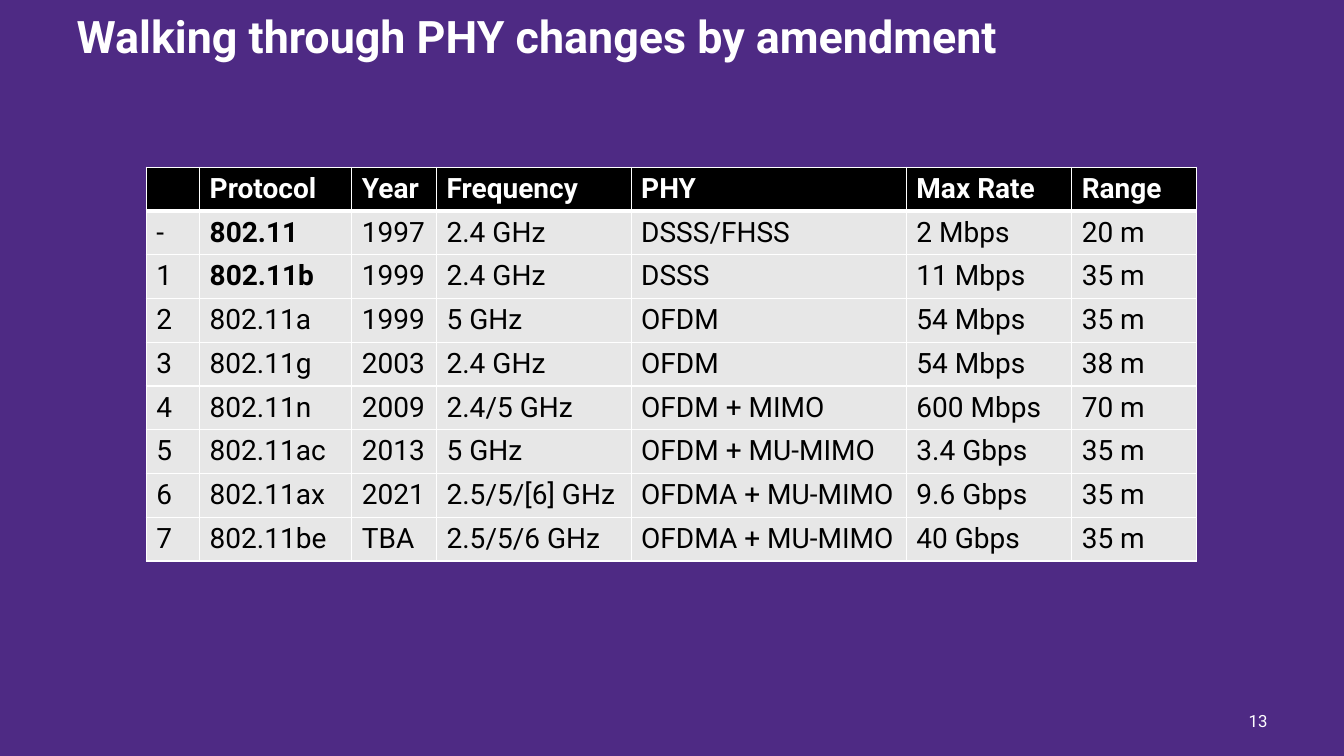
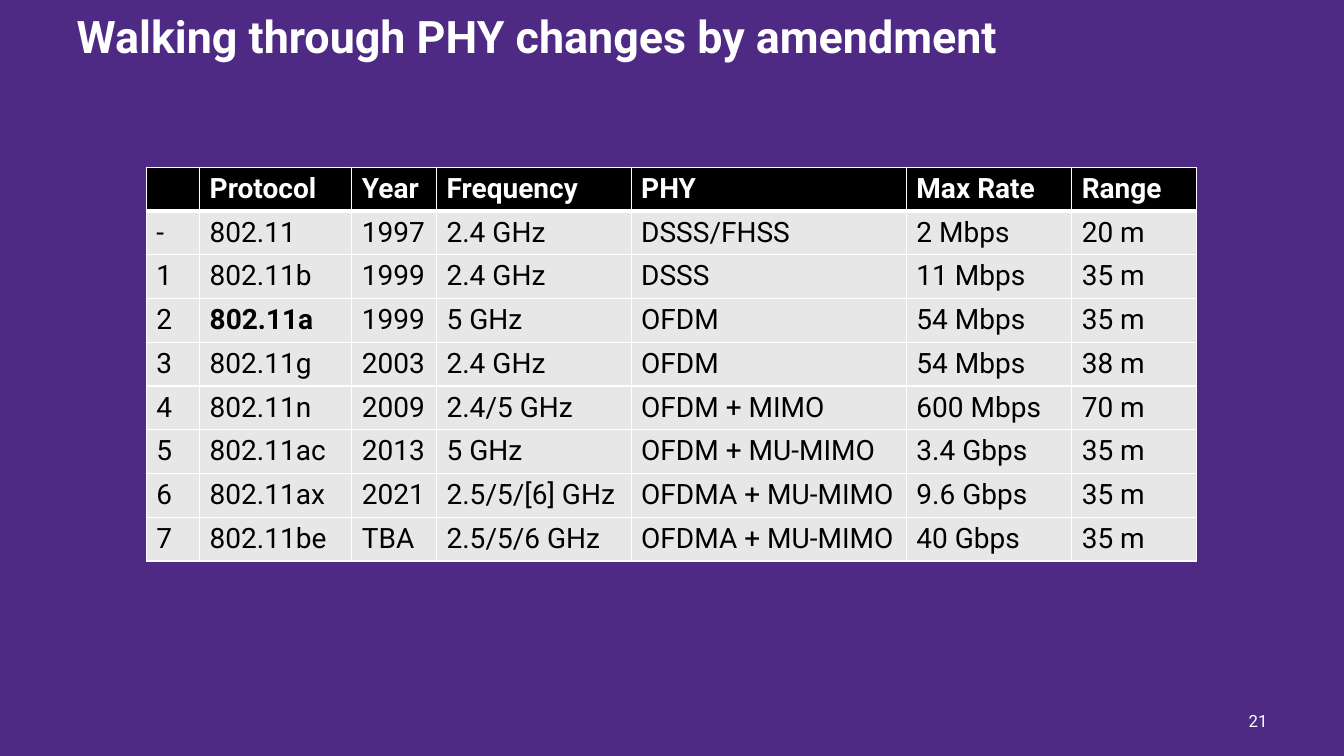
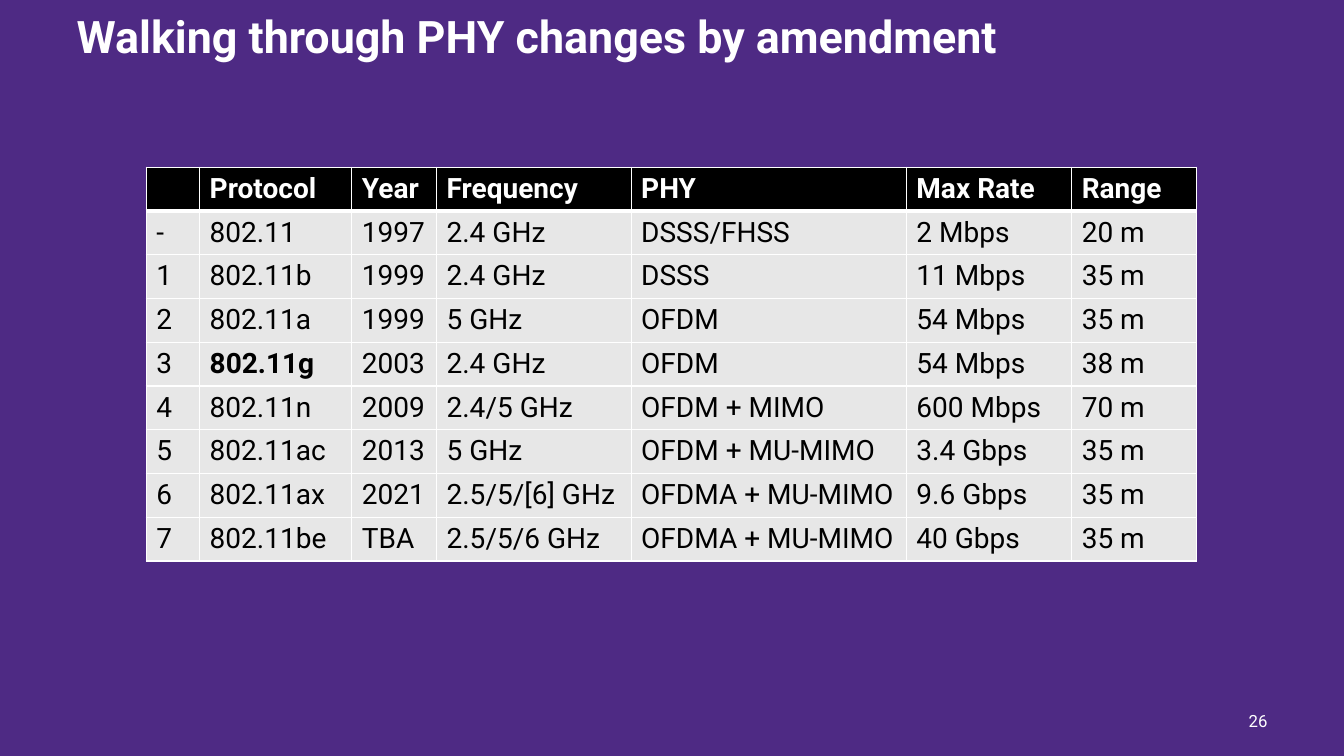
from lxml import etree
from pptx import Presentation
from pptx.dml.color import RGBColor
from pptx.enum import text
from pptx.oxml import ns
from pptx.util import Inches, Pt

FONT = "Roboto"
PURPLE, WHITE, BLACK, GREY = "4E2A84", "FFFFFF", "000000", "E7E7E7"
TITLE = "Walking through PHY changes by amendment"
WIDTHS = [0.53, 1.51, 0.84, 1.93, 2.73, 1.64, 1.24]
ROWS = [
    ["", "Protocol", "Year", "Frequency", "PHY", "Max Rate", "Range"],
    ["-", "802.11", "1997", "2.4 GHz", "DSSS/FHSS", "2 Mbps", "20 m"],
    ["1", "802.11b", "1999", "2.4 GHz", "DSSS", "11 Mbps", "35 m"],
    ["2", "802.11a", "1999", "5 GHz", "OFDM", "54 Mbps", "35 m"],
    ["3", "802.11g", "2003", "2.4 GHz", "OFDM", "54 Mbps", "38 m"],
    ["4", "802.11n", "2009", "2.4/5 GHz", "OFDM + MIMO", "600 Mbps", "70 m"],
    ["5", "802.11ac", "2013", "5 GHz", "OFDM + MU-MIMO", "3.4 Gbps", "35 m"],
    ["6", "802.11ax", "2021", "2.5/5/[6] GHz", "OFDMA + MU-MIMO", "9.6 Gbps", "35 m"],
    ["7", "802.11be", "TBA", "2.5/5/6 GHz", "OFDMA + MU-MIMO", "40 Gbps", "35 m"],
]
PAGES = [("13", {"802.11", "802.11b"}), ("21", {"802.11a"}), ("26", {"802.11g"})]


def paint(fill, color):
    """Make a fill solid in a hex colour."""
    fill.solid()
    fill.fore_color.rgb = RGBColor.from_string(color)


def write(para, words, size, color, bold=False):
    """Add one formatted run to a paragraph."""
    run = para.add_run()
    run.text = words
    font = run.font
    font.name, font.size, font.bold = FONT, Pt(size), bold
    font.color.rgb = RGBColor.from_string(color)


def edge(cell, side, width):
    """Draw one white border of a cell."""
    line = etree.SubElement(cell._tc.get_or_add_tcPr(), ns.qn(f"a:ln{side}"), w=str(Pt(width)))
    fill = etree.SubElement(line, ns.qn("a:solidFill"))
    etree.SubElement(fill, ns.qn("a:srgbClr"), val=WHITE)


def head(slide, box):
    """Place the slide title in its box."""
    title = slide.shapes.title
    title.left, title.top, title.width, title.height = map(Inches, box)
    frame = title.text_frame
    frame.auto_size = text.MSO_AUTO_SIZE.NONE
    frame.vertical_anchor = text.MSO_ANCHOR.MIDDLE
    para = frame.paragraphs[0]
    para.alignment = text.PP_ALIGN.LEFT
    para.line_spacing = 0.9
    write(para, TITLE, 32, WHITE, True)


def foot(slide, box, page):
    """Place the page number in its box."""
    frame = slide.shapes.add_textbox(*map(Inches, box)).text_frame
    frame.word_wrap = True
    frame.vertical_anchor = text.MSO_ANCHOR.MIDDLE
    para = frame.paragraphs[0]
    para.alignment = text.PP_ALIGN.RIGHT
    write(para, page, 12, WHITE)


def grid(slide, box, strong):
    """Place the protocol table, with the strong names in bold."""
    table = slide.shapes.add_table(len(ROWS), len(WIDTHS), *map(Inches, box)).table
    table.horz_banding = False
    for col, width in zip(table.columns, WIDTHS):
        col.width = Inches(width)
    for r, row in enumerate(ROWS):
        table.rows[r].height = Inches(0.41)
        top = r == 0
        for c, words in enumerate(row):
            cell = table.cell(r, c)
            for side in "LRTB":
                thick = (r, side) in ((0, "B"), (1, "T"))
                edge(cell, side, 3 if thick else 1)
            paint(cell.fill, BLACK if top else GREY)
            if words:
                para = cell.text_frame.paragraphs[0]
                write(para, words, 20, WHITE if top else BLACK, top or words in strong)


def main():
    """Build the deck and save it."""
    deck = Presentation()
    deck.slide_width, deck.slide_height = Inches(13.33), Inches(7.5)
    paint(deck.slide_master.background.fill, PURPLE)
    for page, strong in PAGES:
        slide = deck.slides.add_slide(deck.slide_layouts[5])
        foot(slide, (11.67, 6.95, 1, 0.4), page)
        head(slide, (0.66, 0.01, 12, 0.75))
        grid(slide, (1.45, 1.66, sum(WIDTHS), 3.69), strong)
    deck.save("out.pptx")


if __name__ == "__main__":
    main()
